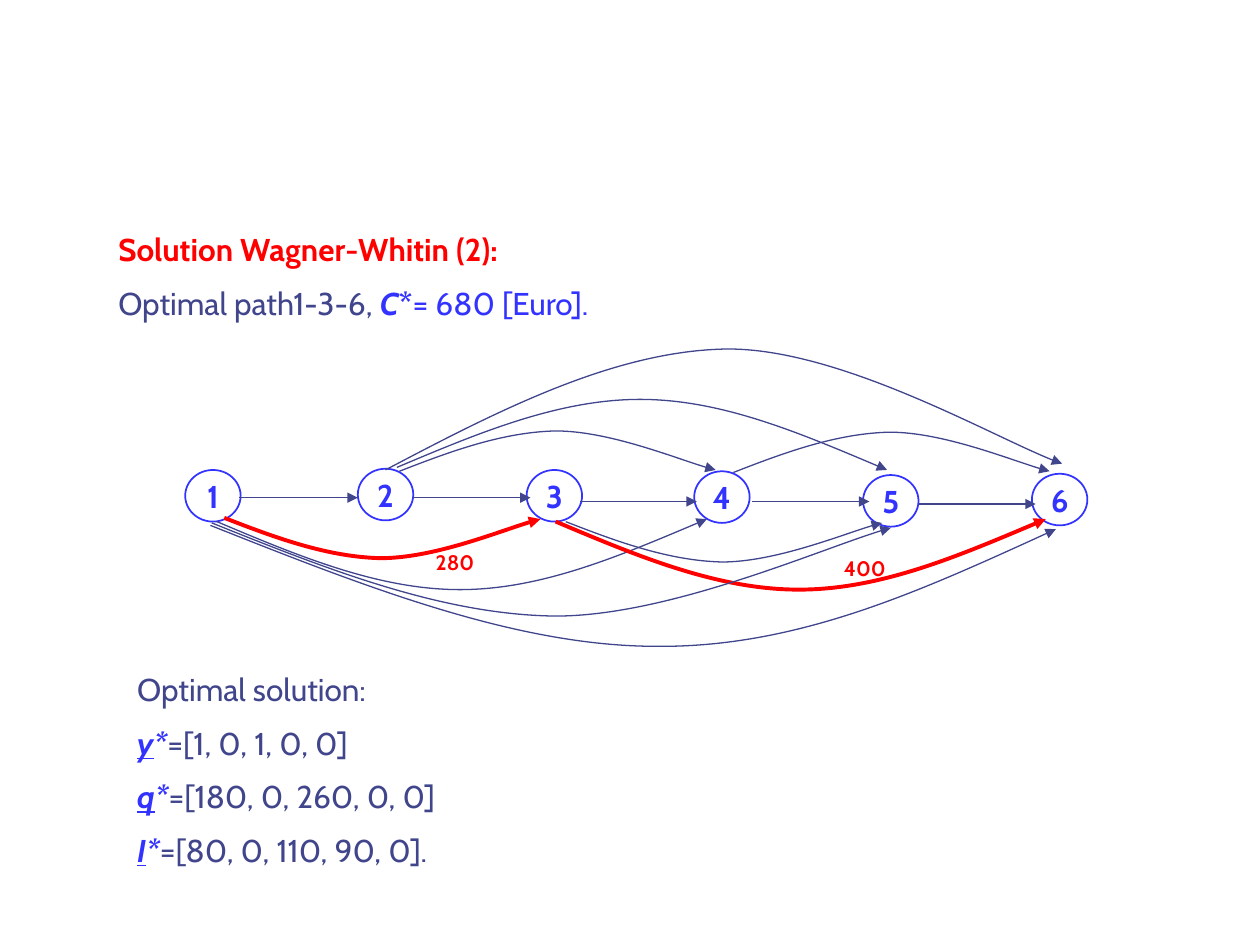
from lxml.etree import SubElement
from pptx import Presentation
from pptx.dml.color import RGBColor
from pptx.enum.shapes import MSO_CONNECTOR, MSO_SHAPE
from pptx.enum.text import MSO_ANCHOR, MSO_AUTO_SIZE, PP_ALIGN
from pptx.oxml.ns import qn
from pptx.util import Inches, Pt

FONT = "Cabin"
RED, BLUE, SLATE, WHITE = "FF0000", "3333FF", "40458C", "FFFFFF"
NODE_WIDTH, NODE_HEIGHT = 0.44, 0.41

# Arc profiles: Bezier points after the start, as (across, away from the nodes)
SHORT = [(0.41, 0.16), (0.82, 0.31), (1.24, 0.32), (1.66, 0.32), (2.3, 0.06), (2.51, 0.01)]
MEDIUM = [(0.64, 0.27), (1.28, 0.54), (1.93, 0.54), (2.57, 0.54), (3.23, 0.26), (3.89, -0.02)]
LONG = [(0.92, 0.37), (1.83, 0.73), (2.73, 0.74), (3.63, 0.74), (4.94, 0.16), (5.39, 0.04)]
TALL = [(0.91, 0.48), (1.83, 0.95), (2.72, 0.96), (3.62, 0.96), (4.93, 0.2), (5.37, 0.05)]
FULL = [(1.21, 0.48), (2.42, 0.96), (3.54, 0.96), (4.66, 0.97), (5.68, 0.5), (6.71, 0.03)]
DOWN, UP = 1, -1

NODES = [(1.47, 3.73), (2.84, 3.72), (4.18, 3.73), (5.51, 3.74), (6.85, 3.77), (8.19, 3.76)]
STEPS = [(1.9, 2.84, 3.95), (3.28, 4.21, 3.95), (4.6, 5.53, 3.98),
         (5.97, 6.9, 3.98), (7.29, 8.22, 4)]
ARCS = [
    (1.78, 4.11, SHORT, DOWN, RED),     # 1-3
    (4.49, 4.14, SHORT, DOWN, SLATE),   # 3-5
    (3.17, 3.74, SHORT, UP, SLATE),     # 2-4
    (5.82, 3.75, SHORT, UP, SLATE),     # 4-6
    (1.72, 4.14, MEDIUM, DOWN, SLATE),  # 1-4
    (4.41, 4.14, MEDIUM, DOWN, RED),    # 3-6
    (3.15, 3.71, MEDIUM, UP, SLATE),    # 2-5
    (1.68, 4.15, LONG, DOWN, SLATE),    # 1-5
    (3.06, 3.73, TALL, UP, SLATE),      # 2-6
    (1.67, 4.17, FULL, DOWN, SLATE),    # 1-6
]
PLANS = [("y", "=[1, 0, 1, 0, 0]"), ("q", "=[180, 0, 260, 0, 0]"), ("I", "=[80, 0, 110, 90, 0].")]


def rgb(color):
    return RGBColor.from_string(color)


def set_font(font, size, color, bold=False):
    font.name, font.size, font.bold = FONT, Pt(size), bold
    font.color.rgb = rgb(color)


def set_arrow(line, color, width):
    line.color.rgb = rgb(color)
    line.width = Pt(width)
    SubElement(line._get_or_add_ln(), qn("a:tailEnd"), type="triangle")


def add_text(slide, left, top, width, height, paragraphs, size, align):
    """Each paragraph is a list of runs: (text, color, styles from 'biu')."""
    box = slide.shapes.add_textbox(Inches(left), Inches(top), Inches(width), Inches(height))
    frame = box.text_frame
    frame.word_wrap = True
    frame.auto_size = MSO_AUTO_SIZE.SHAPE_TO_FIT_TEXT
    for index, runs in enumerate(paragraphs):
        paragraph = frame.add_paragraph() if index else frame.paragraphs[0]
        paragraph.alignment = align
        paragraph.space_before = Pt(size / 2 if index else 0)
        paragraph.font.name, paragraph.font.size = FONT, Pt(size)
        for text, color, styles in runs:
            run = paragraph.add_run()
            run.text = text
            set_font(run.font, size, color, "b" in styles)
            run.font.italic = "i" in styles
            run.font.underline = "u" in styles


def add_node(slide, number, left, top):
    node = slide.shapes.add_shape(MSO_SHAPE.OVAL, Inches(left), Inches(top),
                                  Inches(NODE_WIDTH), Inches(NODE_HEIGHT))
    node.shadow.inherit = False
    node.fill.solid()
    node.fill.fore_color.rgb = rgb(WHITE)
    node.line.color.rgb = rgb(BLUE)
    node.line.width = Pt(1)
    frame = node.text_frame
    frame.word_wrap = False
    frame.vertical_anchor = MSO_ANCHOR.MIDDLE
    label = frame.paragraphs[0]
    label.text = str(number)
    label.alignment = PP_ALIGN.CENTER
    set_font(label.font, 18, BLUE, True)


def add_step(slide, start, end, y):
    step = slide.shapes.add_connector(MSO_CONNECTOR.STRAIGHT, Inches(start), Inches(y),
                                      Inches(end), Inches(y))
    set_arrow(step.line, SLATE, 0.75)
    SubElement(step._element.spPr, qn("a:effectLst"))


def add_arc(slide, x, y, profile, direction, color):
    points = [(Inches(x + across), Inches(y + direction * away)) for across, away in profile]
    builder = slide.shapes.build_freeform(Inches(x), Inches(y))
    builder.add_line_segments(points, close=False)
    arc = builder.convert_to_shape()
    # Turn every three line segments into one Bezier curve
    outline = next(arc._element.iter(qn("a:path")))
    outline.set("fill", "none")
    segments = outline.findall(qn("a:lnTo"))
    for first in range(0, len(segments), 3):
        curve = SubElement(outline, qn("a:cubicBezTo"))
        for segment in segments[first:first + 3]:
            curve.append(segment[0])
            outline.remove(segment)
    arc.fill.background()
    set_arrow(arc.line, color, 2.25 if color == RED else 0.75)
    arc.shadow.inherit = False


def main():
    presentation = Presentation()
    presentation.slide_width, presentation.slide_height = Inches(10), Inches(7.5)
    slide = presentation.slides.add_slide(presentation.slide_layouts[6])

    # Heading and optimal cost
    add_text(slide, 0.84, 1.78, 8.18, 0.86, [
        [("Solution Wagner-Whitin (2):", RED, "b")],
        [("Optimal path1-3-6, ", SLATE, ""), ("C", BLUE, "bi"), ("*", BLUE, "b"),
         ("= 680 [Euro].", BLUE, "")],
    ], 18, PP_ALIGN.JUSTIFY)

    # Network
    for number, (left, top) in enumerate(NODES, 1):
        add_node(slide, number, left, top)
    for step in STEPS:
        add_step(slide, *step)
    for arc in ARCS:
        add_arc(slide, *arc)

    # Costs on the optimal path
    for cost, left, top in [("280", 3.36, 4.31), ("400", 6.6, 4.36)]:
        add_text(slide, left, top, 0.64, 0.3, [[(cost, RED, "b")]], 12, PP_ALIGN.LEFT)

    # Optimal solution
    solution = [[("Optimal solution:", SLATE, "")]]
    for symbol, values in PLANS:
        solution.append([(symbol, BLUE, "biu"), ("*", BLUE, "bi"), (values, SLATE, "")])
    add_text(slide, 0.99, 5.27, 8.18, 1.76, solution, 18, PP_ALIGN.JUSTIFY)

    presentation.save("out.pptx")


if __name__ == "__main__":
    main()
